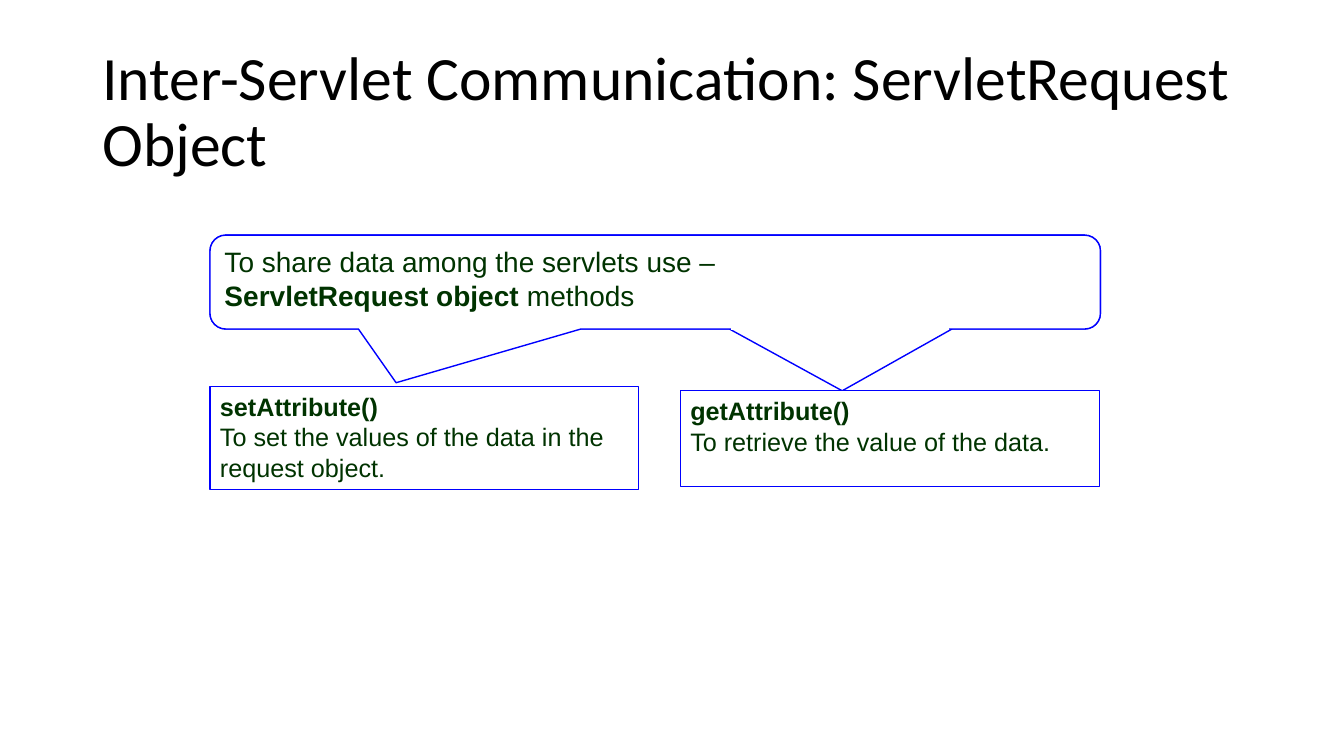
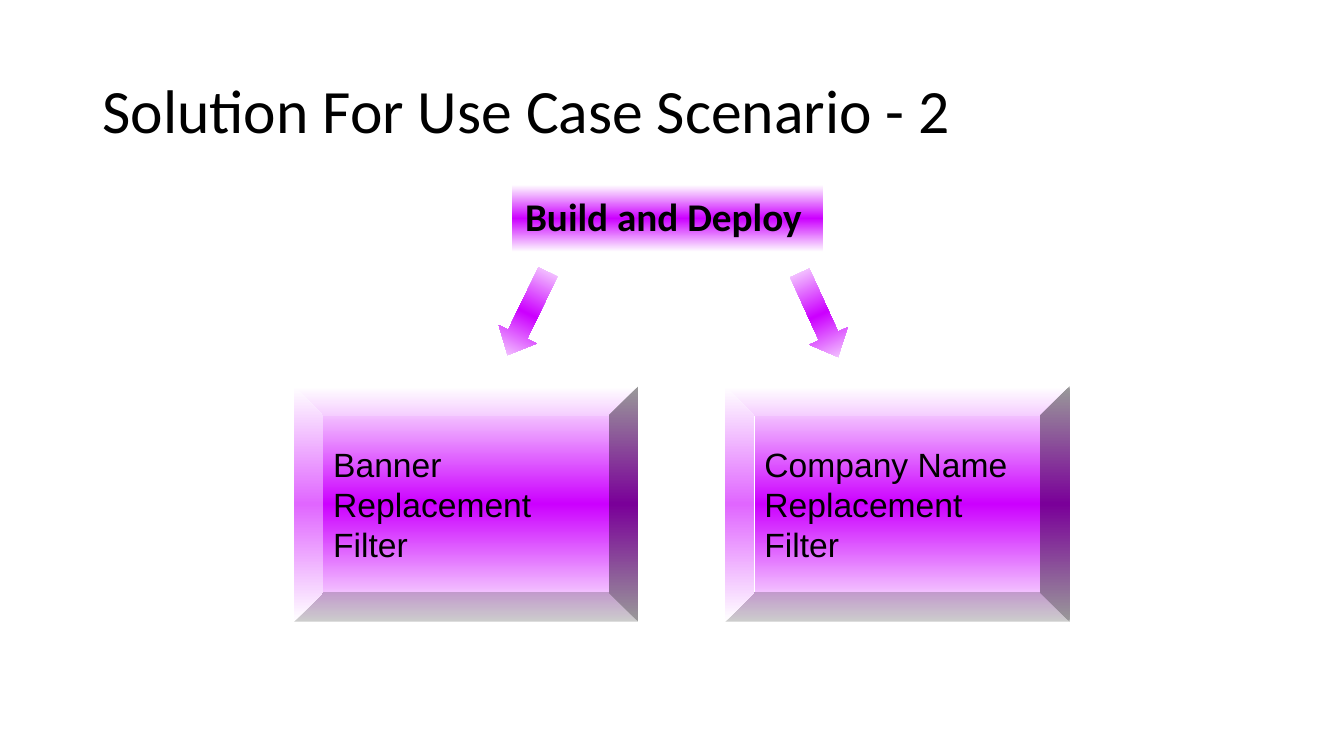
from copy import deepcopy
from dataclasses import dataclass, field

from pptx import Presentation
from pptx.dml.color import RGBColor
from pptx.enum.shapes import MSO_CONNECTOR, MSO_SHAPE
from pptx.enum.text import MSO_ANCHOR, MSO_AUTO_SIZE, PP_ALIGN
from pptx.oxml.ns import qn
from pptx.shapes.autoshape import Shape
from pptx.slide import Slide
from pptx.util import Pt


# Shared look
@dataclass(frozen=True)
class Theme:
    white: RGBColor = RGBColor(0xFF, 0xFF, 0xFF)
    black: RGBColor = RGBColor(0x00, 0x00, 0x00)
    blue: RGBColor = RGBColor(0x00, 0x00, 0xFF)
    green: RGBColor = RGBColor(0x00, 0x33, 0x00)
    purple: RGBColor = RGBColor(0xCC, 0x00, 0xFF)
    heading_font: str = "Calibri"
    body_font: str = "Arial"
    title_size: int = 44
    label_size: int = 28
    filter_size: int = 24
    callout_size: int = 20
    method_size: int = 18
    title_box: tuple = (66, 28.75, 828, 104.4)


THEME = Theme()
Run = tuple[str, bool]


@dataclass(frozen=True)
class TextStyle:
    size: int
    color: RGBColor
    font: str = THEME.body_font
    anchor: MSO_ANCHOR = MSO_ANCHOR.TOP
    align: PP_ALIGN = PP_ALIGN.LEFT
    spacing: float = 1.0


TITLE = TextStyle(THEME.title_size, THEME.black, THEME.heading_font,
                  MSO_ANCHOR.MIDDLE, spacing=0.9)
CALLOUT = TextStyle(THEME.callout_size, THEME.green)
METHOD = TextStyle(THEME.method_size, THEME.green)
LABEL = TextStyle(THEME.label_size, THEME.black, THEME.heading_font,
                  MSO_ANCHOR.MIDDLE, PP_ALIGN.CENTER, 0.9)
FILTER = TextStyle(THEME.filter_size, THEME.black, anchor=MSO_ANCHOR.MIDDLE)


@dataclass(frozen=True)
class Block:
    kind: MSO_SHAPE
    box: tuple[float, float, float, float]
    paragraphs: list[list[Run]] = field(default_factory=list)
    style: TextStyle = METHOD
    adjustments: tuple[float, ...] = ()
    rotation: float = 0


def write_text(shape: Shape, paragraphs: list[list[Run]], style: TextStyle) -> None:
    frame = shape.text_frame
    frame_format = {"word_wrap": True, "auto_size": MSO_AUTO_SIZE.NONE,
                    "vertical_anchor": style.anchor}
    for name, value in frame_format.items():
        setattr(frame, name, value)
    for index, runs in enumerate(paragraphs):
        paragraph = frame.add_paragraph() if index else frame.paragraphs[0]
        paragraph_format = {"alignment": style.align, "line_spacing": style.spacing}
        for name, value in paragraph_format.items():
            setattr(paragraph, name, value)
        for text, bold in runs:
            run = paragraph.add_run()
            run.text = text
            run_format = {"name": style.font, "size": Pt(style.size), "bold": bold}
            for name, value in run_format.items():
                setattr(run.font, name, value)
            run.font.color.rgb = style.color


def add_title_slide(presentation: Presentation, title: str) -> Slide:
    slide = presentation.slides.add_slide(presentation.slide_layouts[5])
    shape = slide.shapes.title
    for name, value in zip(("left", "top", "width", "height"), THEME.title_box):
        setattr(shape, name, Pt(value))
    write_text(shape, [[(title, False)]], TITLE)
    return slide


def add_block(slide: Slide, block: Block) -> Shape:
    shape = slide.shapes.add_shape(block.kind, *map(Pt, block.box))
    shape.shadow.inherit = False
    shape.rotation = block.rotation
    for index, value in enumerate(block.adjustments):
        shape.adjustments[index] = value
    if block.paragraphs:
        write_text(shape, block.paragraphs, block.style)
    return shape


def add_outlined(slide: Slide, block: Block) -> None:
    shape = add_block(slide, block)
    shape.fill.solid()
    shape.fill.fore_color.rgb = THEME.white
    shape.line.color.rgb = THEME.blue
    shape.line.width = Pt(1)


def add_glowing(slide: Slide, block: Block) -> None:
    """Draw a borderless block that fades white, purple, white from top to bottom."""
    shape = add_block(slide, block)
    shape.line.fill.background()
    shape.fill.gradient()
    shape.fill.gradient_angle = 270
    stop_list = shape._element.spPr.find(qn("a:gradFill")).find(qn("a:gsLst"))
    stop_list.insert(1, deepcopy(stop_list[0]))
    colors = (THEME.white, THEME.purple, THEME.white)
    for stop, position, color in zip(shape.fill.gradient_stops, (0, 0.5, 1), colors):
        stop.position = position
        stop.color.rgb = color


def add_line(slide: Slide, left: float, right: float, top: float, width: float) -> None:
    line = slide.shapes.add_connector(
        MSO_CONNECTOR.STRAIGHT, Pt(left), Pt(top), Pt(right), Pt(top))
    line.line.color.rgb = THEME.white
    line.line.width = Pt(width)
    properties = line._element.spPr
    properties.append(properties.makeelement(qn("a:effectLst"), {}))


def build_request_slide(presentation: Presentation) -> None:
    slide = add_title_slide(
        presentation, "Inter-Servlet Communication: ServletRequest Object")
    callout_box = (150, 168, 636, 67)
    callout_kind = MSO_SHAPE.ROUNDED_RECTANGULAR_CALLOUT

    # Callout pointing to the right box
    add_outlined(slide, Block(callout_kind, callout_box,
                              adjustments=(0.21, 1.159, 0.167)))

    # Method boxes
    methods = [
        ("setAttribute()", "To set the values of the data in the request object.",
         (150, 276, 306, 73.5)),
        ("getAttribute()", "To retrieve the value of the data.",
         (486, 279, 299.5, 68.5)),
    ]
    for name, purpose, box in methods:
        add_outlined(slide, Block(MSO_SHAPE.RECTANGLE, box,
                                  [[(name, True)], [(purpose, False)]]))

    # Callout with the text, pointing to the left box
    message = [[("To share data among the servlets use –", False)],
               [("ServletRequest object ", True), ("methods", False)]]
    add_outlined(slide, Block(callout_kind, callout_box, message, CALLOUT,
                              (-0.291, 1.073, 0.167)))

    # White lines open the callout border above the right pointer
    for top, width in ((235.5, 1), (234, 3)):
        add_line(slide, 522, 678, top, width)


def build_solution_slide(presentation: Presentation) -> None:
    slide = add_title_slide(presentation, "Solution For Use Case Scenario - 2")
    add_glowing(slide, Block(MSO_SHAPE.RECTANGLE, (366, 132, 222, 48),
                             [[("Build and Deploy ", True)]], LABEL))

    # Filters
    filters = ("Banner Replacement Filter", "Company Name Replacement Filter")
    for index, name in enumerate(filters):
        add_glowing(slide, Block(MSO_SHAPE.BEVEL, (210 + 308 * index, 276, 246, 168),
                                 [[(name, False)]], FILTER, (0.125,)))

    # Arrows to the filters
    for left, top, rotation in ((362, 191, 25.9), (570, 192, 335.5)):
        add_glowing(slide, Block(MSO_SHAPE.DOWN_ARROW, (left, top, 30, 66),
                                 adjustments=(0.5, 0.55), rotation=rotation))


def main() -> None:
    presentation = Presentation()
    presentation.slide_width = Pt(960)
    presentation.slide_height = Pt(540)
    build_request_slide(presentation)
    build_solution_slide(presentation)
    presentation.save("out.pptx")


if __name__ == "__main__":
    main()
